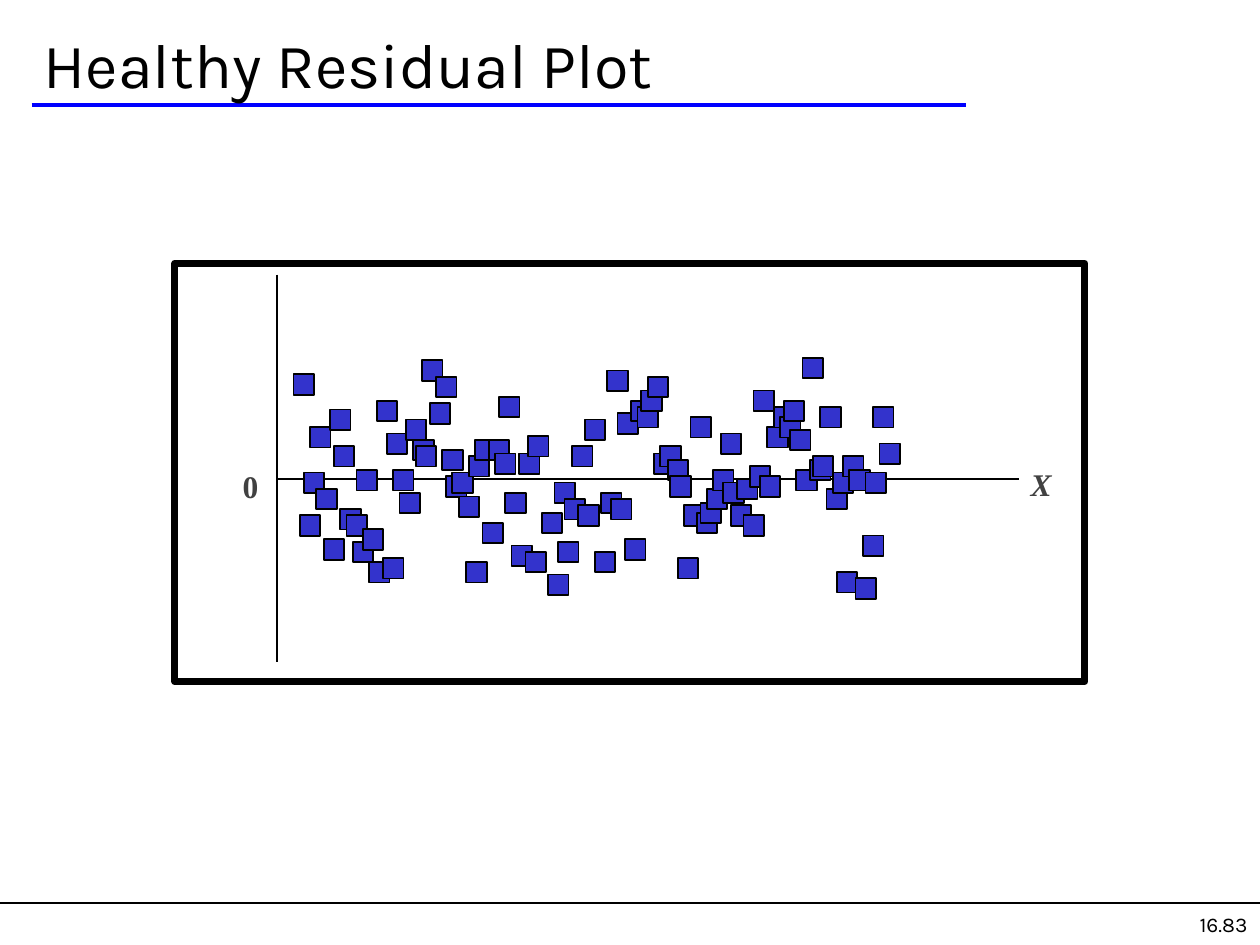
import pptx
import pptx.util
from pptx.dml.color import RGBColor
from pptx.enum.shapes import MSO_CONNECTOR, MSO_SHAPE
from pptx.enum.text import MSO_ANCHOR, MSO_AUTO_SIZE, PP_ALIGN
from lxml import etree

Pt = pptx.util.Pt
A = "http://schemas.openxmlformats.org/drawingml/2006/main"
TITLE = "Healthy Residual Plot"
PAGE = "16.83"
BLACK, BLUE, MARKER, GREY = "000000", "0000FF", "3333CC", "414141"
UNIT = 0.72
MARKER_SIZE = 11.7
RESIDUALS = [
    (233, 297), (238, 409), (241, 375), (246, 339), (251, 388), (257, 428),
    (262, 325), (265, 354), (270, 404), (275, 409), (280, 430), (283, 373),
    (288, 420), (293, 446), (299, 318), (304, 443), (307, 344), (312, 373),
    (317, 391), (322, 333), (328, 349), (330, 354), (335, 286), (341, 320),
    (346, 299), (351, 357), (354, 378), (359, 375), (364, 394), (370, 446),
    (372, 362), (377, 349), (383, 415), (388, 349), (393, 360), (396, 315),
    (401, 391), (406, 433), (412, 360), (417, 438), (419, 346), (430, 407),
    (435, 456), (440, 383), (443, 430), (448, 396), (454, 354), (459, 401),
    (464, 333), (472, 438), (477, 391), (482, 294), (485, 396), (490, 328),
    (496, 428), (501, 318), (506, 323), (509, 310), (514, 299), (519, 360),
    (524, 354), (530, 365), (532, 378), (538, 443), (543, 401), (548, 331),
    (553, 407), (556, 399), (561, 388), (566, 373), (572, 344), (574, 383),
    (580, 401), (585, 380), (590, 409), (595, 370), (598, 310), (603, 378),
    (609, 339), (614, 323), (619, 331), (622, 318), (627, 341), (632, 373),
    (637, 284), (643, 365), (645, 362), (651, 323), (656, 388), (661, 375),
    (664, 454), (669, 362), (674, 373), (679, 459), (685, 425), (687, 375),
    (693, 323), (698, 352),
]


def rgb(value):
    return RGBColor.from_string(value)


def add_line(shapes, x1, y1, x2, y2, color, width):
    c = shapes.add_connector(MSO_CONNECTOR.STRAIGHT, Pt(x1), Pt(y1), Pt(x2), Pt(y2))
    c.line.color.rgb = rgb(color)
    c.line.width = Pt(width)
    etree.SubElement(c._element.spPr, "{%s}effectLst" % A)


def add_rect(shapes, x, y, w, h, fill, width):
    sp = shapes.add_shape(MSO_SHAPE.RECTANGLE, Pt(x), Pt(y), Pt(w), Pt(h))
    sp.shadow.inherit = False
    if fill:
        sp.fill.solid()
        sp.fill.fore_color.rgb = rgb(fill)
    else:
        sp.fill.background()
    sp.line.color.rgb = rgb(BLACK)
    sp.line.width = Pt(width)


def add_text(shapes, x, y, w, h, text, size, font, color, bold=False, italic=False,
             align=PP_ALIGN.LEFT, anchor=MSO_ANCHOR.TOP, wrap=True):
    tf = shapes.add_textbox(Pt(x), Pt(y), Pt(w), Pt(h)).text_frame
    tf.word_wrap = wrap
    tf.auto_size = MSO_AUTO_SIZE.NONE if wrap else MSO_AUTO_SIZE.SHAPE_TO_FIT_TEXT
    tf.vertical_anchor = anchor
    p = tf.paragraphs[0]
    p.text = text
    p.alignment = align
    p.font.size = Pt(size)
    p.font.name = font
    p.font.bold = bold
    p.font.italic = italic
    p.font.color.rgb = rgb(color)


def main():
    prs = pptx.Presentation()
    prs.slide_width, prs.slide_height = Pt(720), Pt(540)
    s = prs.slides.add_slide(prs.slide_layouts[6])

    add_line(s.shapes, 0, 516, 720, 516, BLACK, 0.75)
    add_line(s.shapes, 18, 60, 552, 60, BLUE, 2.5)
    add_text(s.shapes, 570, 516, 150, 24, PAGE, 12, "Karla", BLACK,
             align=PP_ALIGN.RIGHT, anchor=MSO_ANCHOR.MIDDLE)

    plot = s.shapes.add_group_shape().shapes
    add_rect(plot, 100, 150.5, 520, 239, None, 4)
    add_line(plot, 158.2, 157, 158.2, 378.5, BLACK, 1)
    add_line(plot, 159, 273.7, 582.5, 273.7, BLACK, 1)
    for x, y in RESIDUALS:
        add_rect(plot, x * UNIT, y * UNIT, MARKER_SIZE, MARKER_SIZE, MARKER, 1)
    add_text(plot, 131.5, 263.5, 23, 29, "0", 18, "Times New Roman", GREY,
             bold=True, wrap=False)
    add_text(plot, 581.8, 262, 26, 29, "X", 18, "Times New Roman", GREY,
             bold=True, italic=True, wrap=False)

    add_text(s.shapes, 18, 12, 690, 48, TITLE, 36, "Karla", BLACK,
             anchor=MSO_ANCHOR.MIDDLE)
    prs.save("out.pptx")


if __name__ == "__main__":
    main()
